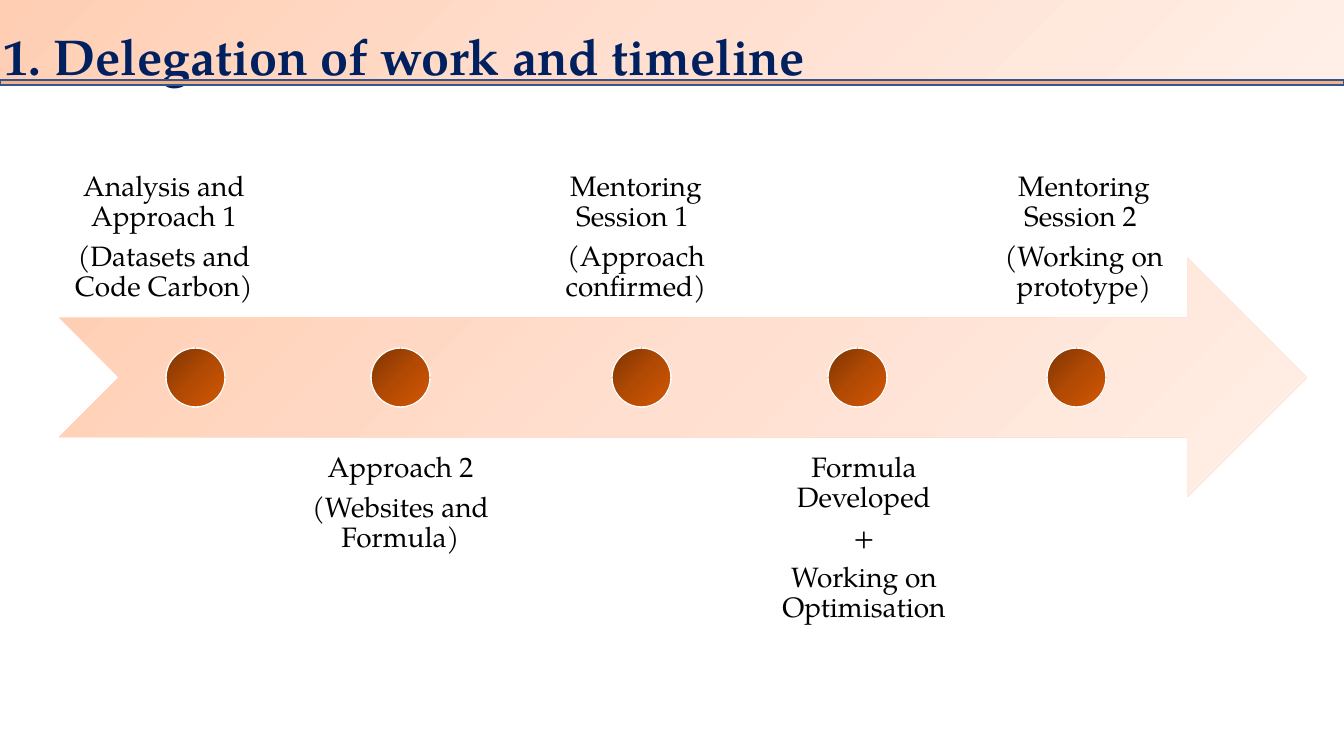
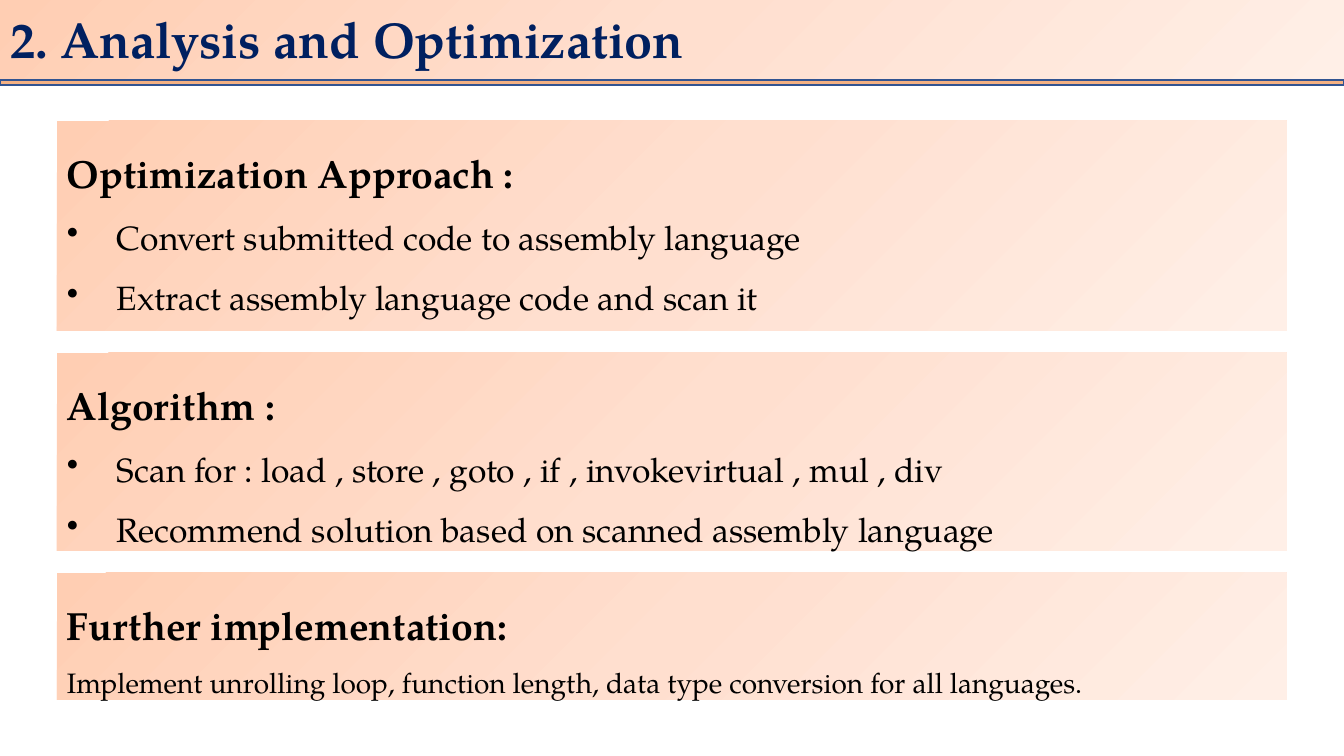
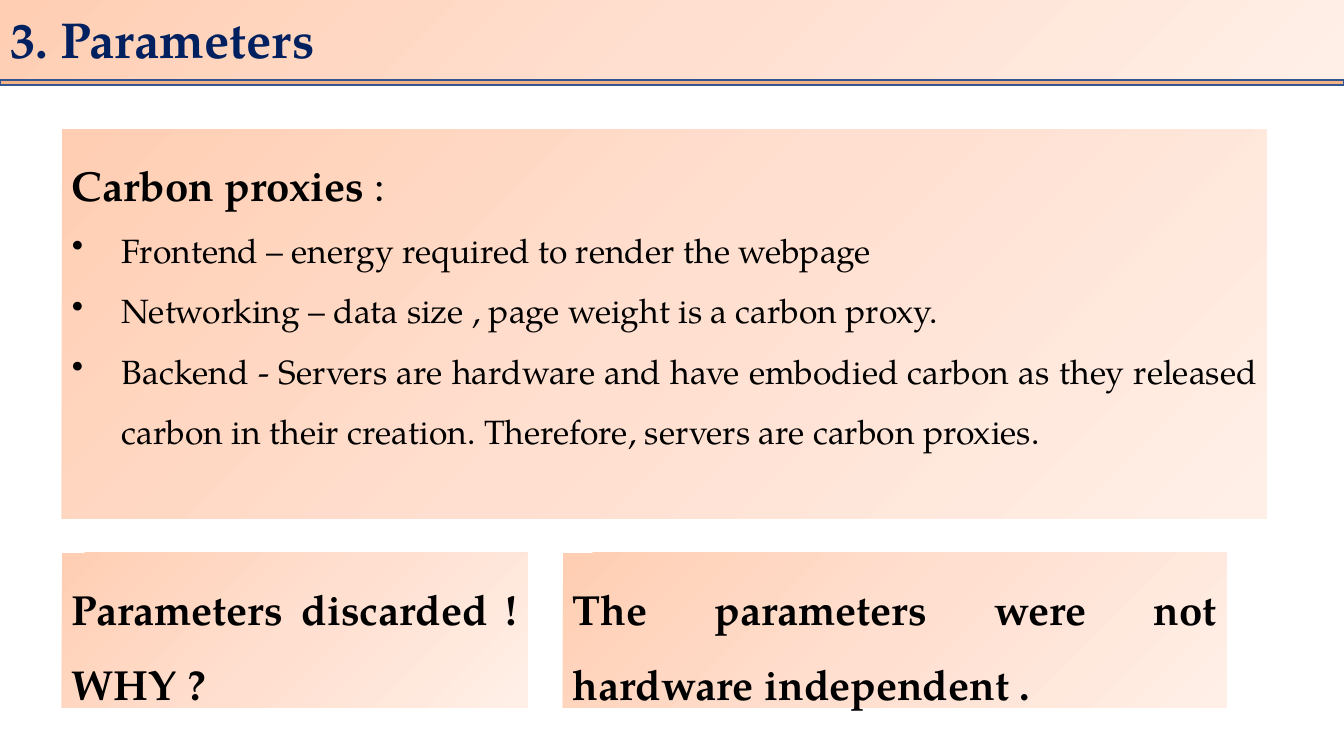
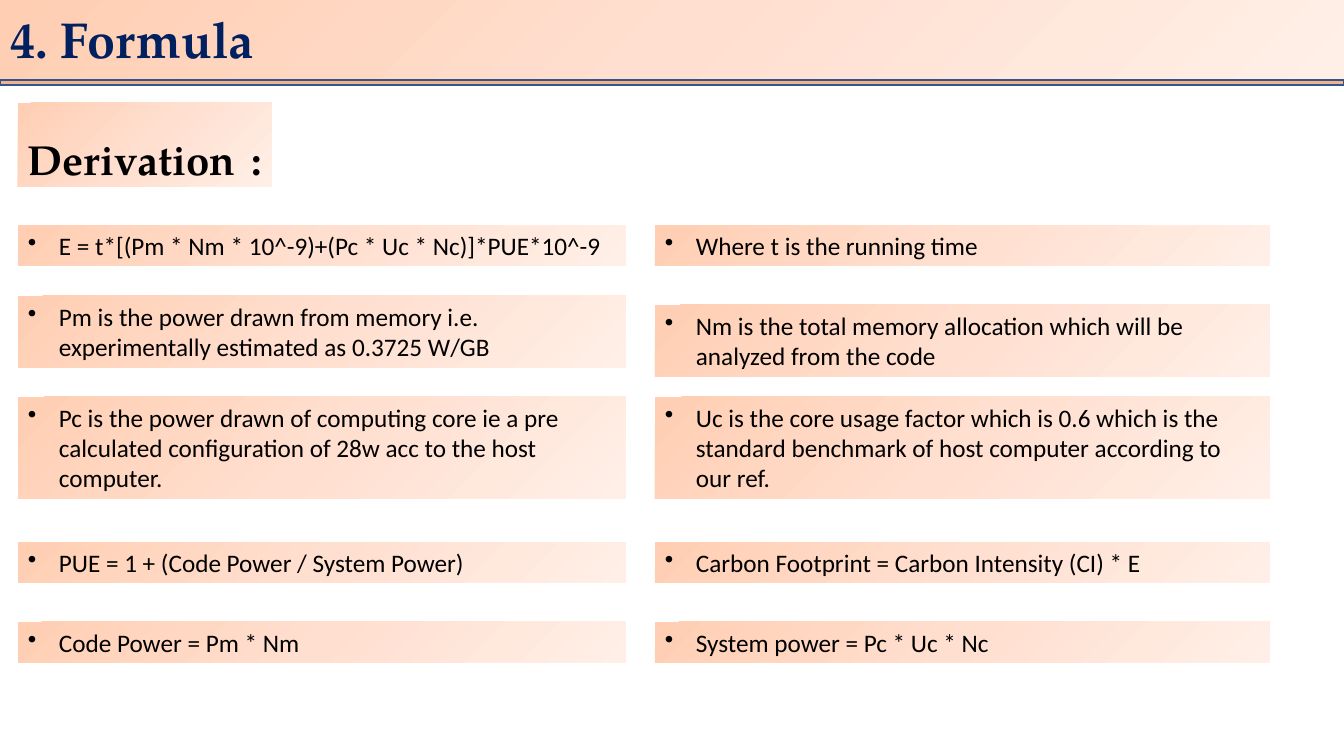
from copy import deepcopy

from pptx import Presentation
from pptx.dml.color import RGBColor
from pptx.enum.shapes import MSO_SHAPE as Preset
from pptx.enum.text import MSO_ANCHOR as Anchor, MSO_AUTO_SIZE as AutoSize, PP_ALIGN as Align
from pptx.oxml.ns import qn
from pptx.util import Pt

TITLES = [
    "Delegation of work and timeline",
    "2. Analysis and Optimization ",
    "3. Parameters",
    "4. Formula ",
]

MILESTONES = [
    (59, 210, 166, ["Analysis and Approach 1", "(Datasets and Code Carbon)"]),
    (280, 241, 371, ["Approach 2", "(Websites and Formula)"]),
    (531, 210, 612, ["Mentoring Session 1 ", "(Approach confirmed)"]),
    (759, 210, 828, ["Formula Developed", "+", "Working on Optimisation"]),
    (979, 210, 1047, ["Mentoring Session 2 ", "(Working on prototype)"]),
]

ANALYSIS = [
    (121, 210, "Optimization Approach :", 24, True, [
        "Convert submitted code to assembly language ",
        "Extract assembly language code and scan it",
    ]),
    (353, 198, "Algorithm :", 24, True, [
        "Scan for : load , store , goto , if , invokevirtual , mul , div ",
        "Recommend solution based on scanned assembly language",
    ]),
    (573, 127, "Further implementation:", 20, False, [
        "Implement unrolling loop, function length, data type conversion for all languages.",
    ]),
]

PROXIES = [
    "Frontend – energy required to render the webpage",
    "Networking – data size , page weight is a carbon proxy.",
    "Backend - Servers are hardware and have embodied carbon as they released "
    "carbon in their creation. Therefore, servers are carbon proxies.",
]

VERDICTS = [
    (62, 466, "Parameters discarded ! WHY ?"),
    (563, 664, "The parameters were not hardware independent ."),
]

FORMULA_COLUMNS = [
    (18, 608, [
        (225, 41, "E = t*[(Pm * Nm * 10^-9)+(Pc * Uc * Nc)]*PUE*10^-9"),
        (296, 72, "Pm is the power drawn from memory i.e. experimentally estimated as 0.3725 W/GB"),
        (397, 102, "Pc is the power drawn of computing core ie a pre calculated configuration "
                   "of 28w acc to the host computer."),
        (542, 41, "PUE = 1 + (Code Power / System Power)"),
        (622, 41, "Code Power = Pm * Nm"),
    ]),
    (655, 615, [
        (225, 41, "Where t is the running time"),
        (305, 72, "Nm is the total memory allocation which will be analyzed from the code"),
        (397, 102, "Uc is the core usage factor which is 0.6 which is the standard benchmark "
                   "of host computer according to our ref."),
        (542, 41, "Carbon Footprint = Carbon Intensity (CI) * E"),
        (622, 41, "System power = Pc * Uc * Nc"),
    ]),
]

COLORS = {
    "navy": "002060",
    "black": "000000",
    "white": "FFFFFF",
    "rule": "F4B183",
    "rule_edge": "325491",
}
PEACH = ("FFCEB3", "FFDFCF", "FFEFE7")
RUST = ("7D3402", "B24A03", "D35704")
SERIF, SANS = "TeX Gyre Pagella", "Calibri"
WIDTH, HEIGHT = 1344, 756


def px(length):
    return round(length * 914400 / 100.8)


def rgb(name):
    return RGBColor.from_string(COLORS[name])


def shade(shape, colors):
    shape.fill.gradient()
    shape.fill.gradient_angle = 315
    stops = shape._element.spPr.find(".//" + qn("a:gsLst"))
    middle = deepcopy(stops[0])
    middle.set("pos", "50000")
    stops.insert(1, middle)
    for stop, color in zip(shape.fill.gradient_stops, colors):
        stop.color.rgb = RGBColor.from_string(color)


def add_block(slide, preset, box, colors=PEACH):
    block = slide.shapes.add_shape(preset, *map(px, box))
    block.shadow.inherit = False
    shade(block, colors)
    block.line.fill.background()
    prepare(block.text_frame)
    return block


def prepare(frame, anchor=Anchor.TOP):
    frame.word_wrap = True
    frame.auto_size = AutoSize.NONE
    frame.vertical_anchor = anchor
    return frame


def write(frame, text, size=24, font=SERIF, color="black", bold=False, align=Align.JUSTIFY,
          spacing=1.5, after=0, hang=0, marker=("a:buChar", "char", "•")):
    paragraph = frame.add_paragraph() if frame.text else frame.paragraphs[0]
    paragraph.alignment = align
    paragraph.line_spacing = spacing
    paragraph.space_after = Pt(after)
    runs = [(text, bold)] if isinstance(text, str) else text
    for words, heavy in runs:
        run = paragraph.add_run()
        run.text = words
        run.font.size = Pt(size)
        run.font.name = font
        run.font.bold = heavy
        run.font.color.rgb = rgb(color)
    if hang:
        properties = paragraph._p.get_or_add_pPr()
        properties.set("marL", str(px(hang)))
        properties.set("indent", str(-px(hang)))
        tag, attribute, value = marker
        bullet = properties.makeelement(qn(tag), {attribute: value})
        properties.append(bullet)


def add_titled_slide(deck, title, box=(0, 0, WIDTH, 85), **style):
    slide = deck.slides.add_slide(deck.slide_layouts[5])
    heading = slide.shapes.title
    heading.left, heading.top, heading.width, heading.height = map(px, box)
    shade(heading, PEACH)
    write(prepare(heading.text_frame, Anchor.MIDDLE), title,
          **{"size": 36, "color": "navy", "bold": True, "spacing": 0.9, **style})
    rule = add_block(slide, Preset.RECTANGLE, (0, 80, WIDTH, 5))
    rule.fill.solid()
    rule.fill.fore_color.rgb = rgb("rule")
    rule.line.color.rgb = rgb("rule_edge")
    rule.line.width = Pt(1)
    return slide


def build_timeline(deck):
    slide = add_titled_slide(deck, TITLES[0], box=(-7, 0, 1351, 80), spacing=1.5, hang=50,
                             marker=("a:buAutoNum", "type", "arabicPeriod"))
    add_block(slide, Preset.NOTCHED_RIGHT_ARROW, (59, 258, 1248, 239))
    for index, (left, width, dot_left, lines) in enumerate(MILESTONES):
        below = index % 2
        label = slide.shapes.add_textbox(*map(px, (left, 437 if below else 80, width, 239)))
        frame = prepare(label.text_frame, Anchor.TOP if below else Anchor.BOTTOM)
        frame.margin_left = frame.margin_right = frame.margin_top = frame.margin_bottom = px(16)
        for line in lines:
            write(frame, line, size=20, align=Align.CENTER, spacing=0.9, after=7)
        dot = add_block(slide, Preset.OVAL, (dot_left, 348, 59, 59), RUST)
        dot.line.color.rgb = rgb("white")
        dot.line.width = Pt(1)


def build_analysis(deck):
    slide = add_titled_slide(deck, TITLES[1])
    for top, height, heading, size, bulleted, lines in ANALYSIS:
        frame = add_block(slide, Preset.RECTANGLE, (57, top, 1230, height)).text_frame
        write(frame, heading, size=28, bold=True)
        for line in lines:
            write(frame, line, size=size, hang=50 if bulleted else 0)


def build_parameters(deck):
    slide = add_titled_slide(deck, TITLES[2])
    proxies = add_block(slide, Preset.RECTANGLE, (62, 129, 1205, 390)).text_frame
    write(proxies, [("Carbon proxies", True), (" :", False)], size=30)
    for line in PROXIES:
        write(proxies, line, hang=50)
    for left, width, verdict in VERDICTS:
        block = add_block(slide, Preset.RECTANGLE, (left, 553, width, 155))
        write(block.text_frame, verdict, size=30, bold=True)


def build_formula(deck):
    slide = add_titled_slide(deck, TITLES[3])
    derivation = add_block(slide, Preset.RECTANGLE, (18, 103, 254, 84))
    write(derivation.text_frame, "Derivation : ", size=30, bold=True)
    for left, width, terms in FORMULA_COLUMNS:
        for top, height, term in terms:
            block = add_block(slide, Preset.RECTANGLE, (left, top, width, height))
            write(block.text_frame, term, size=18, font=SANS, align=Align.LEFT,
                  spacing=1.0, hang=31)


deck = Presentation()
deck.slide_width, deck.slide_height = px(WIDTH), px(HEIGHT)
for build in (build_timeline, build_analysis, build_parameters, build_formula):
    build(deck)
deck.save("out.pptx")
